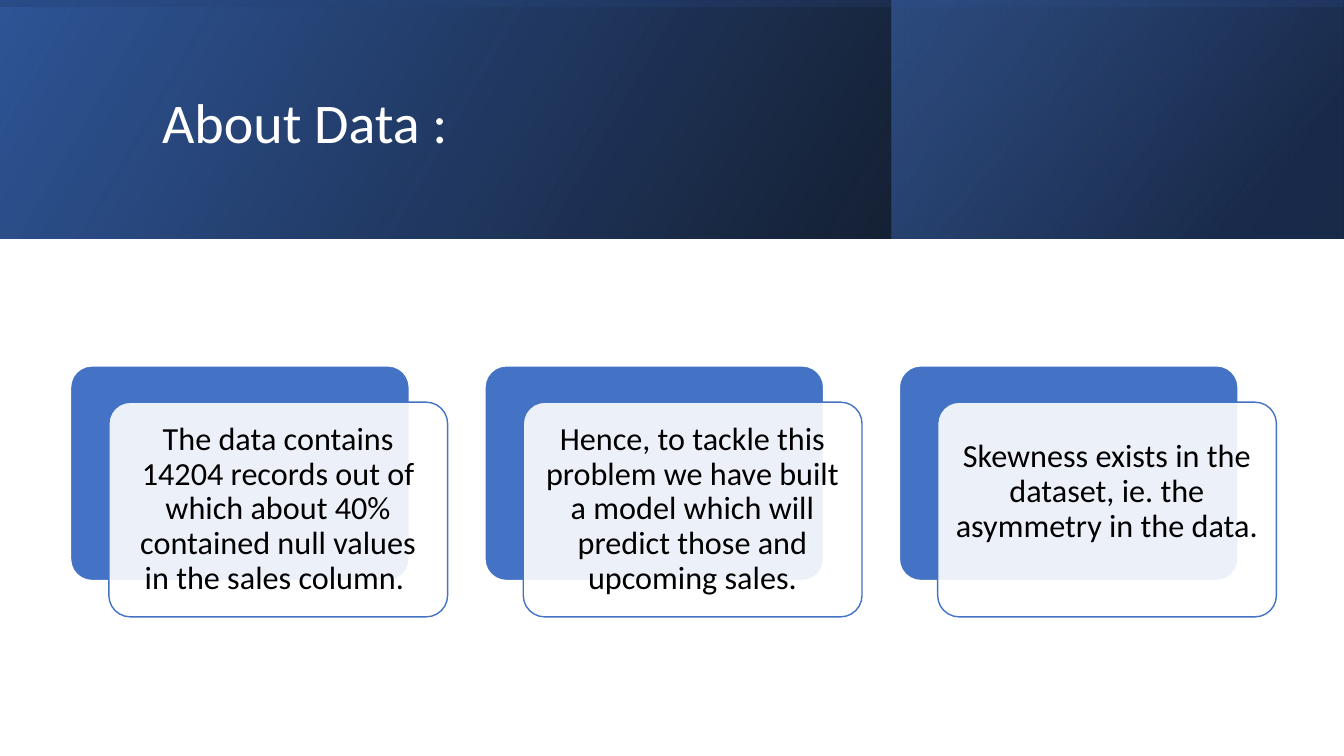
"""Build the About Data slide: a gradient banner above three text cards."""
from lxml import etree
from pptx import Presentation
from pptx.dml.color import RGBColor
from pptx.enum import shapes, text
from pptx.oxml import ns
from pptx.util import Inches, Pt

deck = Presentation()
deck.slide_width, deck.slide_height = Inches(13.33), Inches(7.5)
slide = deck.slides.add_slide(deck.slide_layouts[6])


def hue(code):
    return RGBColor.from_string(code)


def write(words, size, color, left, top, width, height, align):
    frame = slide.shapes.add_textbox(
        Inches(left), Inches(top), Inches(width), Inches(height)).text_frame
    frame.word_wrap = True
    frame.vertical_anchor = text.MSO_ANCHOR.MIDDLE
    frame.margin_left = frame.margin_right = Inches(0.1)
    frame.margin_top = frame.margin_bottom = Inches(0.1)
    para = frame.paragraphs[0]
    para.alignment = align
    para.line_spacing = 0.9
    run = para.add_run()
    run.text = words
    run.font.name = "Calibri"
    run.font.size = Pt(size)
    run.font.color.rgb = hue(color)


bands = [
    ((0, 0, 13.33, 2.37), 0, 30, [(0, "000000", 96), (1, "2F5597", 100)]),
    ((8.84, 0, 4.48, 2.37), 0, 40, [(0.19, "203864", 68), (1, "4472C4", 48)]),
    ((5.48, -5.48, 2.37, 13.33), 270, 10, [(0.23, "2F5597", 16), (0.99, "000000", 45)]),
]
for place, turn, angle, stops in bands:
    band = slide.shapes.add_shape(
        shapes.MSO_SHAPE.RECTANGLE, *[Inches(n) for n in place])
    band.shadow.inherit = False
    band.rotation = turn
    band._element.spPr.xfrm.set("flipH", "1")
    band.line.fill.background()
    band.fill.gradient()
    band.fill.gradient_angle = angle
    for stop, (pos, color, _) in zip(band.fill.gradient_stops, stops):
        stop.position = pos
        stop.color.rgb = hue(color)
    tints = band._element.spPr.findall(".//" + ns.qn("a:srgbClr"))
    for tint, (_, _, alpha) in zip(tints, stops):
        etree.SubElement(tint, ns.qn("a:alpha"), val=str(alpha * 1000))

write("About Data : ", 40, "FFFFFF", 1.51, 0.38, 10.63, 1.72, text.PP_ALIGN.LEFT)

notes = [
    "The data contains 14204 records out of which about 40% contained null values in the sales column. ",
    "Hence, to tackle this problem we have built a model which will predict those and upcoming sales.",
    "Skewness exists in the dataset, ie. the asymmetry in the data.  ",
]
for col, note in enumerate(notes):
    left = 0.7 + col * 4.11
    for shift, top, fill, edge, alpha in [
            (0, 3.63, "4472C4", "FFFFFF", 100), (0.38, 3.99, "FFFFFF", "4472C4", 90)]:
        card = slide.shapes.add_shape(
            shapes.MSO_SHAPE.ROUNDED_RECTANGLE,
            Inches(left + shift), Inches(top), Inches(3.36), Inches(2.13))
        card.shadow.inherit = False
        card.adjustments[0] = 0.1
        card.fill.solid()
        card.fill.fore_color.rgb = hue(fill)
        tint = card._element.spPr.find(".//" + ns.qn("a:srgbClr"))
        etree.SubElement(tint, ns.qn("a:alpha"), val=str(alpha * 1000))
        card.line.color.rgb = hue(edge)
        card.line.width = Pt(1)
    write(note, 23, "000000", left + 0.44, 4.05, 3.24, 2.01, text.PP_ALIGN.CENTER)

deck.save("out.pptx")
